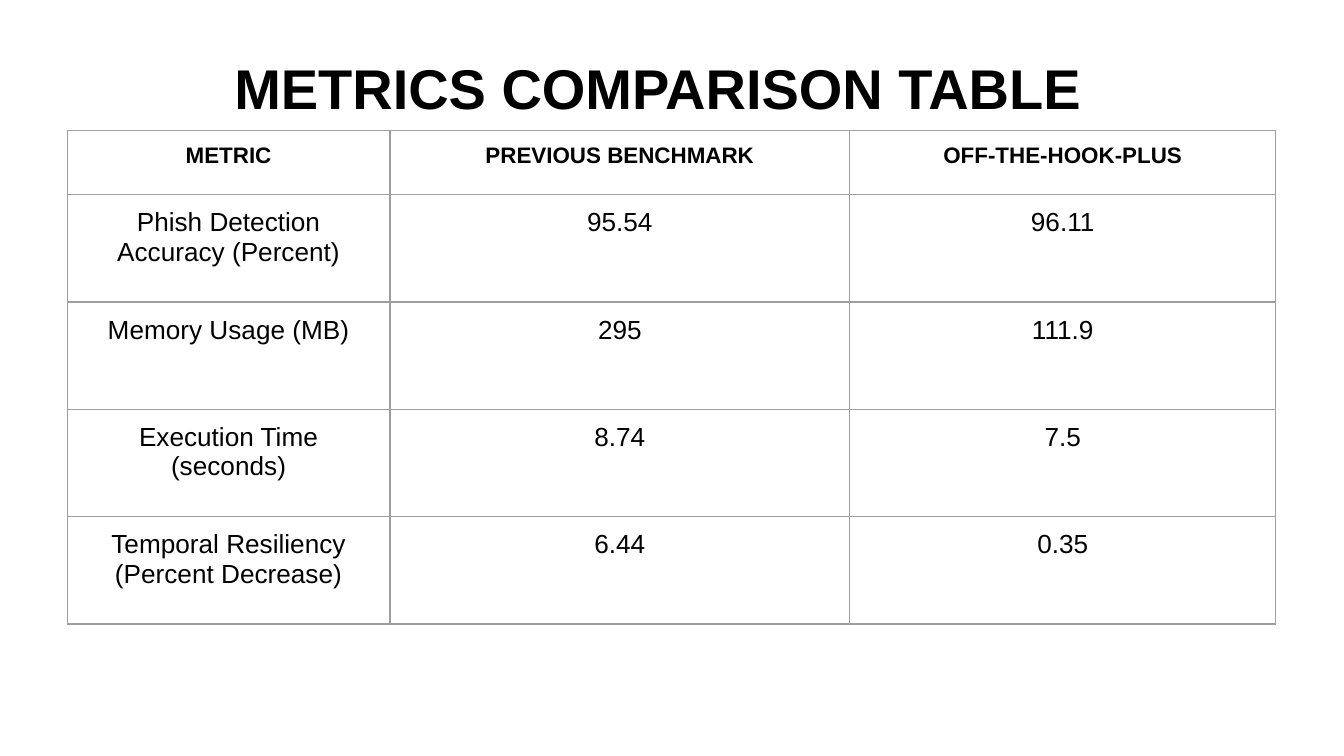
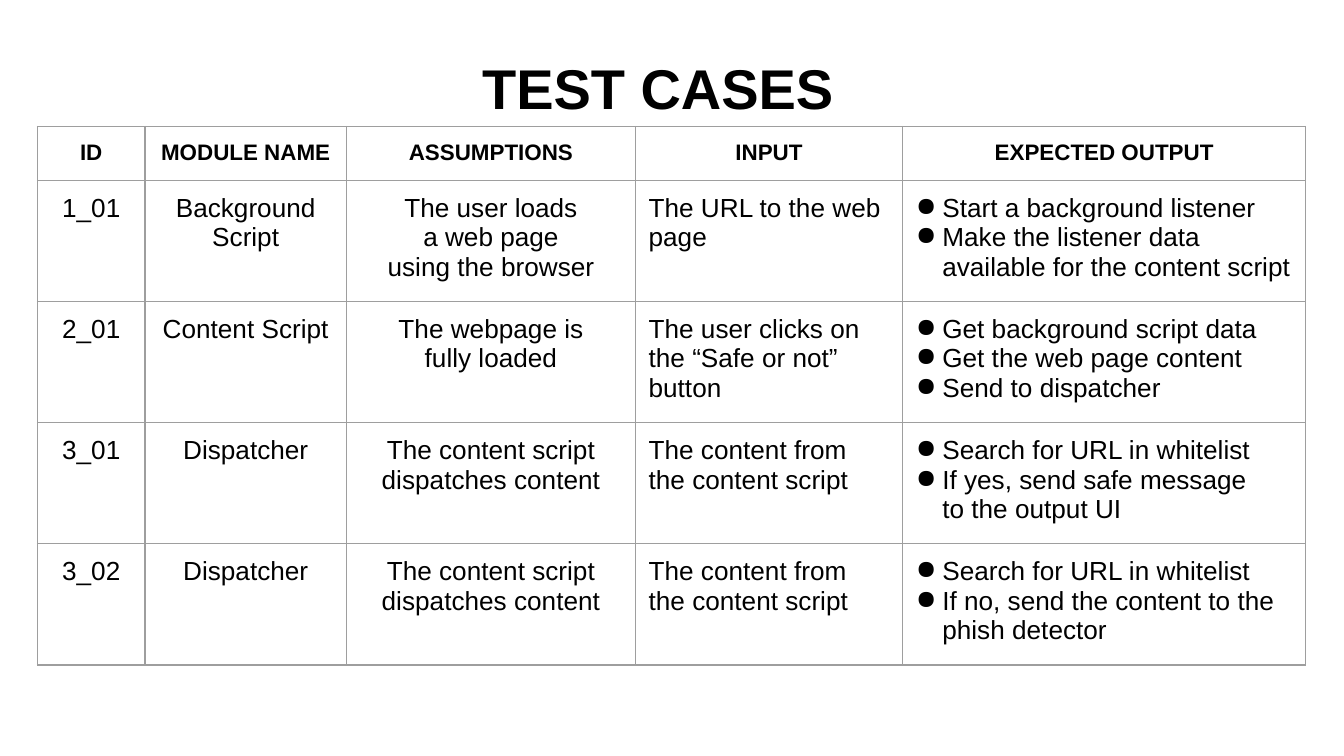
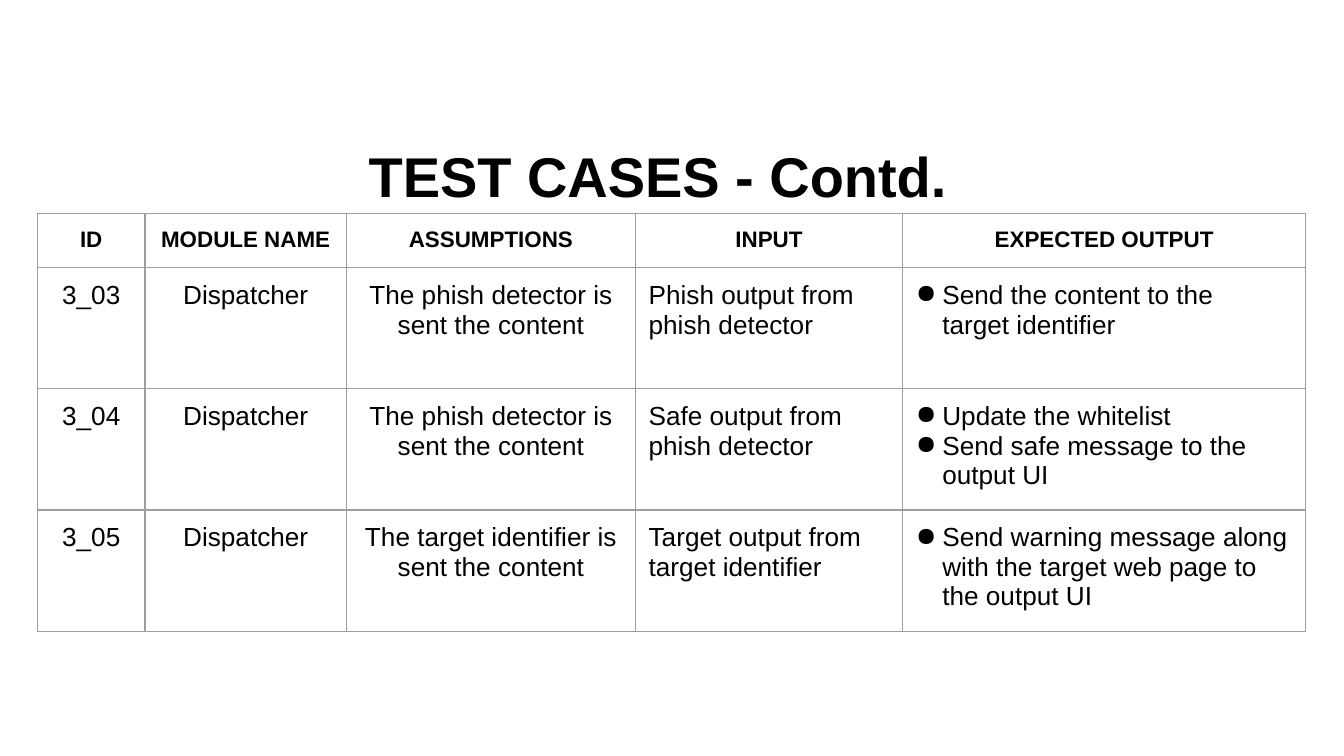
from copy import deepcopy

from lxml import etree
from pptx import Presentation
from pptx.dml.color import RGBColor
from pptx.enum import text
from pptx.oxml import ns
from pptx.util import Cm, Pt

COLORS = {"ink": "000000", "grid": "9E9E9E"}
INSET = Cm(0.25)
INSETS = {f"margin_{side}": INSET for side in ("left", "right", "top", "bottom")}
CENTER, LEFT = text.PP_ALIGN.CENTER, text.PP_ALIGN.LEFT
FONTS = {
    "title": {"size": Pt(30), "bold": True, "name": "Arial"},
    "header": {"size": Pt(12), "bold": True, "name": "Arial"},
    "body": {"size": Pt(14), "bold": False, "name": "Arial"},
}
TITLE_FRAME = {
    **INSETS,
    "vertical_anchor": text.MSO_ANCHOR.BOTTOM,
    "auto_size": text.MSO_AUTO_SIZE.NONE,
    "word_wrap": True,
}


def apply(target, values):
    for key, value in values.items():
        setattr(target, key, value)


def write(paragraph, words, style, align):
    paragraph.text = words
    paragraph.alignment = align
    for run in paragraph.runs:
        apply(run.font, FONTS[style])
        run.font.color.rgb = RGBColor.from_string(COLORS["ink"])
    for line_break in paragraph._p.findall(ns.qn("a:br")):
        line_break.append(deepcopy(paragraph.runs[0]._r.rPr))


TEST_HEADER = ["ID", "MODULE NAME", "ASSUMPTIONS", "INPUT", "EXPECTED OUTPUT"]
TEST_GRID = {
    "left": 0.71,
    "widths": [2.03, 3.81, 5.46, 5.05, 7.62],
    "header_height": 1.02,
    "row_height": 2.29,
    "aligns": [CENTER, CENTER, CENTER, LEFT, LEFT],
    "bullet_column": 4,
}

pages = [
    {
        "title": "METRICS COMPARISON TABLE",
        "title_top": 0.71,
        "left": 1.27,
        "top": 2.46,
        "widths": [6.1, 8.69, 8.05],
        "header_height": 1.22,
        "row_height": 2.03,
        "aligns": [CENTER] * 3,
        "bullet_column": None,
        "rows": [
            ["METRIC", "PREVIOUS BENCHMARK", "OFF-THE-HOOK-PLUS"],
            ["Phish Detection Accuracy (Percent)", "95.54", "96.11"],
            ["Memory Usage (MB)", "295", "111.9"],
            ["Execution Time (seconds)", "8.74", "7.5"],
            ["Temporal Resiliency (Percent Decrease)", "6.44", "0.35"],
        ],
    },
    {
        **TEST_GRID,
        "title": "TEST CASES",
        "title_top": 0.71,
        "top": 2.39,
        "bullet_right": 0,
        "rows": [
            TEST_HEADER,
            ["1_01", "Background Script", "The user loads\na web page\nusing the browser",
             "The URL to the web page",
             "Start a background listener\n"
             "Make the listener data available for the content script"],
            ["2_01", "Content Script", "The webpage is\nfully loaded",
             "The user clicks on the “Safe or not”\nbutton",
             "Get background script data\nGet the web page content\nSend to dispatcher"],
            ["3_01", "Dispatcher", "The content script dispatches content",
             "The content from the content script",
             "Search for URL in whitelist\nIf yes, send safe message\vto the output UI"],
            ["3_02", "Dispatcher", "The content script dispatches content",
             "The content from the content script",
             "Search for URL in whitelist\nIf no, send the content to the phish detector"],
        ],
    },
    {
        **TEST_GRID,
        "title": "TEST CASES - Contd.",
        "title_top": 2.36,
        "top": 4.04,
        "bullet_right": INSET,
        "rows": [
            TEST_HEADER,
            ["3_03", "Dispatcher", "The phish detector is sent the content",
             "Phish output from phish detector",
             "Send the content to the\vtarget identifier"],
            ["3_04", "Dispatcher", "The phish detector is sent the content",
             "Safe output from phish detector",
             "Update the whitelist\nSend safe message to the output UI"],
            ["3_05", "Dispatcher", "The target identifier is sent the content",
             "Target output from target identifier",
             "Send warning message along with the target web page to the output UI"],
        ],
    },
]

deck = Presentation()
deck.slide_width, deck.slide_height = Cm(25.4), Cm(14.29)

for page in pages:
    slide = deck.slides.add_slide(deck.slide_layouts[5])
    heading = slide.shapes.title
    apply(heading, {"left": Cm(1.32), "top": Cm(page["title_top"]),
                    "width": Cm(22.23), "height": Cm(1.83)})
    apply(heading.text_frame, TITLE_FRAME)
    heading_line = heading.text_frame.paragraphs[0]
    write(heading_line, page["title"], "title", CENTER)
    heading_line.line_spacing = 1.15

    rows, widths = page["rows"], page["widths"]
    heights = [page["header_height"]] + [page["row_height"]] * (len(rows) - 1)
    grid = slide.shapes.add_table(
        len(rows), len(widths), Cm(page["left"]), Cm(page["top"]),
        Cm(sum(widths)), Cm(sum(heights))).table
    apply(grid, {"first_row": False, "horz_banding": False})
    for column, width in zip(grid.columns, widths):
        column.width = Cm(width)

    for r, entries in enumerate(rows):
        grid.rows[r].height = Cm(heights[r])
        for c, entry in enumerate(entries):
            cell = grid.cell(r, c)
            apply(cell, INSETS)
            cell.fill.background()
            cell_format = cell._tc.get_or_add_tcPr()
            for position, edge in enumerate(("lnL", "lnR", "lnT", "lnB")):
                border = etree.Element(ns.qn(f"a:{edge}"), w=str(Pt(0.75)))
                solid = etree.SubElement(border, ns.qn("a:solidFill"))
                etree.SubElement(solid, ns.qn("a:srgbClr"), val=COLORS["grid"])
                cell_format.insert(position, border)

            bulleted = r > 0 and c == page["bullet_column"]
            if bulleted:
                cell.margin_right = page["bullet_right"]
            for i, words in enumerate(entry.split("\n")):
                frame = cell.text_frame
                paragraph = frame.add_paragraph() if i else frame.paragraphs[0]
                if bulleted:
                    properties = paragraph._p.get_or_add_pPr()
                    properties.set("marL", str(Cm(0.5)))
                    properties.set("indent", str(-Cm(0.5)))
                    tint = etree.SubElement(properties, ns.qn("a:buClr"))
                    etree.SubElement(tint, ns.qn("a:srgbClr"), val=COLORS["ink"])
                    etree.SubElement(properties, ns.qn("a:buChar"), char="●")
                write(paragraph, words, "body" if r else "header",
                      page["aligns"][c] if r else CENTER)

deck.save("out.pptx")
